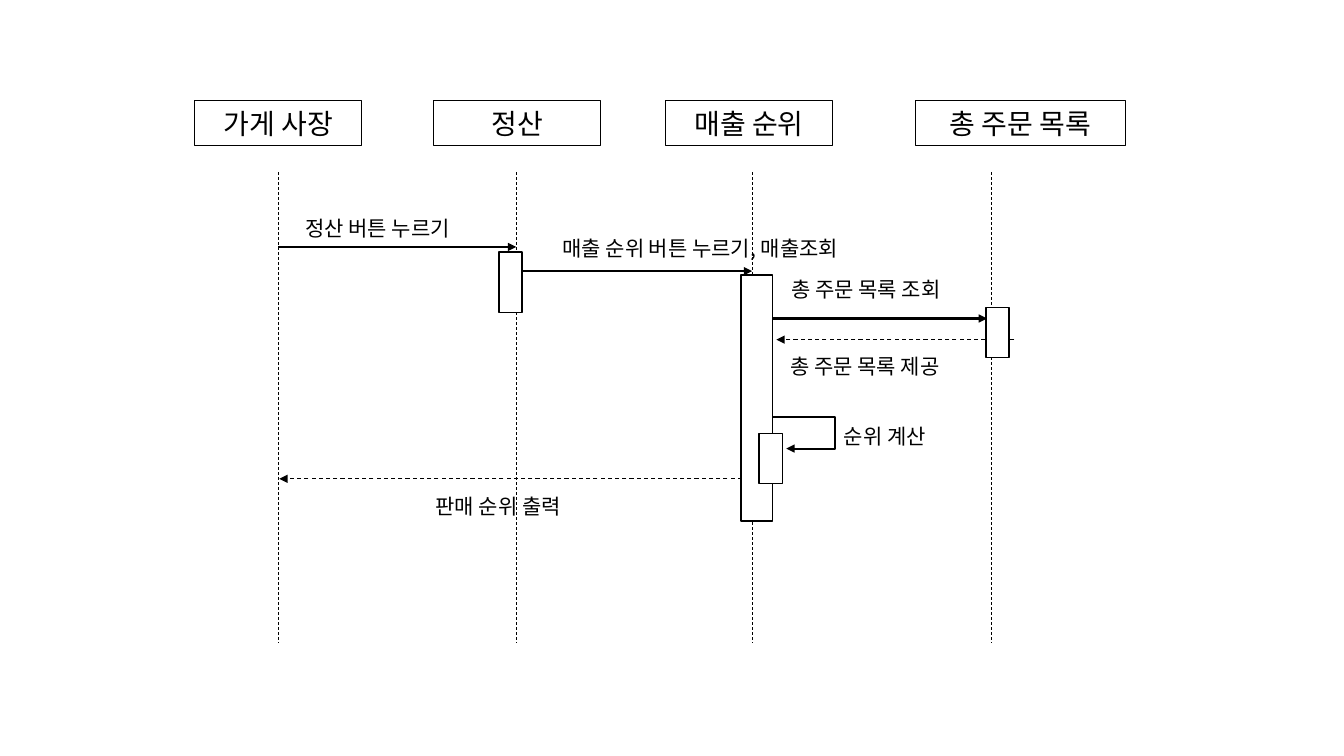
import pptx
import pptx.util
import pptx.dml.color
import pptx.enum.dml
import pptx.enum.shapes
import pptx.enum.text
import pptx.oxml.ns
import pptx.oxml.xmlchemy

BLACK = pptx.dml.color.RGBColor(0, 0, 0)
WHITE = pptx.dml.color.RGBColor(255, 255, 255)
FONT = "Noto Sans CJK KR"
CELL = pptx.util.Inches(0.1)
CONNECTOR = pptx.enum.shapes.MSO_CONNECTOR
RECTANGLE = pptx.enum.shapes.MSO_SHAPE.RECTANGLE
ALIGN = pptx.enum.text.PP_ALIGN

deck = pptx.Presentation()
deck.slide_width = pptx.util.Inches(13.33)
deck.slide_height = pptx.util.Inches(7.5)
page = deck.slides.add_slide(deck.slide_layouts[6])


def draw_line(start, end, weight, dashed=False, arrow=True, kind=CONNECTOR.STRAIGHT):
    ends = [round(value * CELL) for value in (*start, *end)]
    connector = page.shapes.add_connector(kind, *ends)
    connector.line.color.rgb = BLACK
    connector.line.width = pptx.util.Pt(weight)
    if dashed:
        connector.line.dash_style = pptx.enum.dml.MSO_LINE.DASH
    properties = connector._element.spPr
    if arrow:
        outline = properties.find(pptx.oxml.ns.qn("a:ln"))
        head = pptx.oxml.xmlchemy.OxmlElement("a:tailEnd")
        head.set("type", "triangle")
        outline.append(head)
    properties.append(pptx.oxml.xmlchemy.OxmlElement("a:effectLst"))
    return connector


def write_text(shape, text, size, alignment):
    frame = shape.text_frame
    frame.word_wrap = True
    frame.vertical_anchor = pptx.enum.text.MSO_ANCHOR.MIDDLE
    frame.text = text
    para = frame.paragraphs[0]
    para.alignment = alignment
    span = para.runs[0]
    span.font.size = pptx.util.Pt(size)
    span.font.name = FONT
    span.font.color.rgb = BLACK
    east_asian = pptx.oxml.xmlchemy.OxmlElement("a:ea")
    east_asian.set("typeface", FONT)
    span.font._element.append(east_asian)


owner, settlement, ranking, orders = 27.6, 51.2, 74.6, 98.3

draw_line((74.3, 47.5), (27.7, 47.5), 0.75, dashed=True)
self_call = draw_line((74.3, 41.4), (78, 44.5), 1.5, kind=CONNECTOR.ELBOW)
bend = pptx.oxml.xmlchemy.OxmlElement("a:gd")
bend.set("name", "adj1")
bend.set("fmla", "val 229800")
self_call._element.spPr.find(".//" + pptx.oxml.ns.qn("a:avLst")).append(bend)

participants = [
    ("가게 사장", 19.3, 16.6),
    ("정산", 43, 16.6),
    ("매출 순위", 66, 16.6),
    ("총 주문 목록", 90.8, 20.8),
]
for name, left, width in participants:
    box = page.shapes.add_shape(
        RECTANGLE, *[round(value * CELL) for value in (left, 10, width, 4.4)])
    box.shadow.inherit = False
    box.fill.background()
    box.line.color.rgb = BLACK
    box.line.width = pptx.util.Pt(0.75)
    write_text(box, name, 20, ALIGN.CENTER)

for lifeline in (owner, settlement, ranking, orders):
    draw_line((lifeline, 17.1), (lifeline, 63.8), 0.5, dashed=True, arrow=False)

calls = [
    (owner, settlement, 24.5),
    (51, ranking, 26.9),
    (74.3, 97.9, 31.6),
]
for start, end, row in calls:
    draw_line((start, row), (end, row), 1.5)
draw_line((100.6, 33.7), (77, 33.7), 0.75, dashed=True)

activations = [
    (49.5, 25, 2.3, 6),
    (97.8, 30.5, 2.3, 5),
    (73.5, 27.3, 3.1, 24.4),
    (75.3, 43, 2.3, 5),
]
for area in activations:
    bar = page.shapes.add_shape(RECTANGLE, *[round(value * CELL) for value in area])
    bar.shadow.inherit = False
    bar.fill.solid()
    bar.fill.fore_color.rgb = WHITE
    bar.line.color.rgb = BLACK
    bar.line.width = pptx.util.Pt(1)

messages = [
    ("정산 버튼 누르기", 29.3, 20.9, 27.5),
    ("매출 순위 버튼 누르기, 매출조회", 54.8, 22.9, 37.4),
    ("총 주문 목록 조회", 77.5, 26.9, 23.6),
    ("총 주문 목록 제공", 77.4, 34.6, 20.4),
    ("순위 계산", 82.7, 41.5, 15.5),
    ("판매 순위 출력", 42.2, 48.5, 26.9),
]
for message, left, top, width in messages:
    label = page.shapes.add_textbox(
        *[round(value * CELL) for value in (left, top, width, 3.5)])
    write_text(label, message, 15, ALIGN.LEFT)

deck.save("out.pptx")
